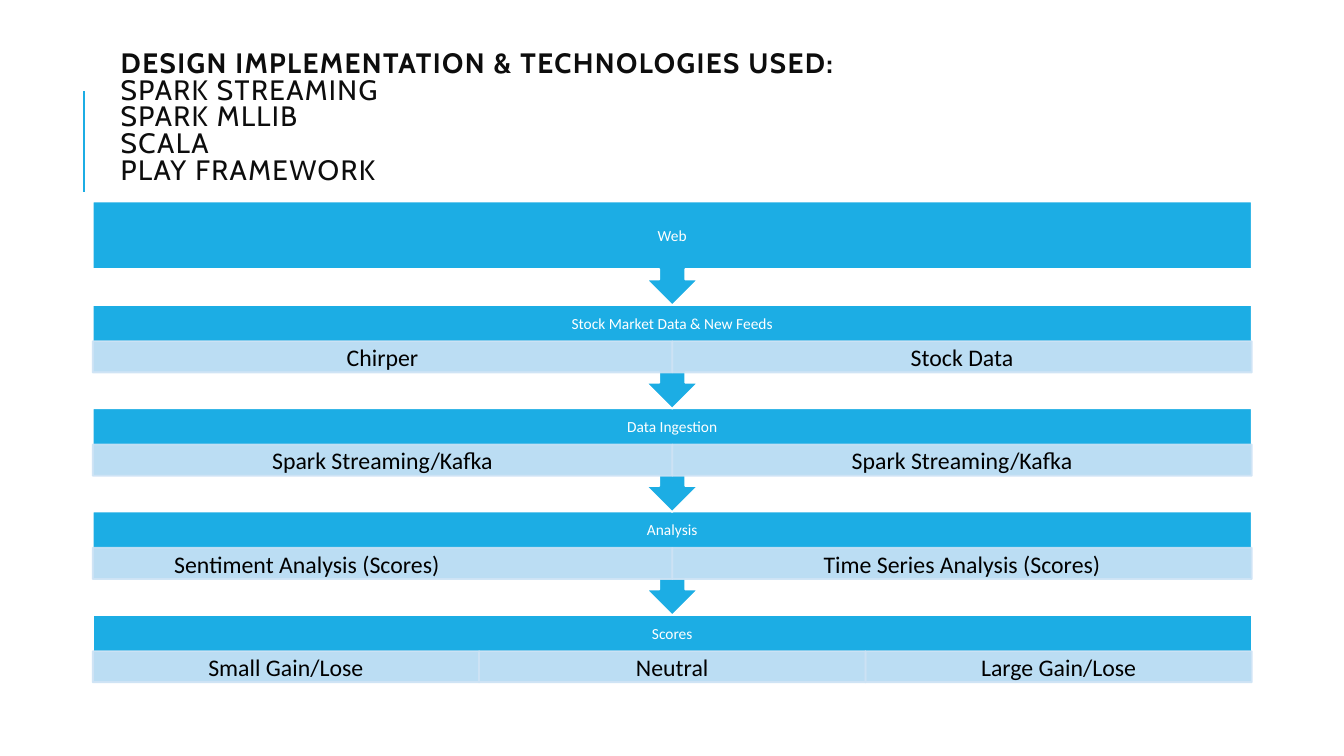
from lxml.etree import SubElement
from pptx import Presentation
from pptx.dml.color import RGBColor
from pptx.enum.shapes import MSO_CONNECTOR, MSO_SHAPE as SHAPE
from pptx.enum.text import MSO_ANCHOR as ANCHOR, PP_ALIGN as ALIGN
from pptx.oxml.ns import qn
from pptx.util import Pt

PX = 4572
BLUE = RGBColor(0x1C, 0xAD, 0xE4)
PALE = RGBColor(0xCD, 0xE3, 0xF5)
WHITE = RGBColor(0xFF, 0xFF, 0xFF)
BLACK = RGBColor(0x00, 0x00, 0x00)
INK = RGBColor(0x0D, 0x0D, 0x0D)

LEFT, TOP, WIDTH, STEP = 184, 400, 2300, 205
BODY_HEIGHT, CALLOUT_HEIGHT = 134, 206
HEADER_HEIGHT, CELL_HEIGHT = 72, 62
TAB_SHIFT = 300

TITLE = "DESIGN IMPLEMENTATION & TECHNOLOGIES USED:"
TECHNOLOGIES = ["SPARK STREAMING", "SPARK MLLIB", "SCALA", "PLAY FRAMEWORK"]
STAGES = [
    ("Web", []),
    ("Stock Market Data & New Feeds", [("Chirper", 0), ("Stock Data", 0)]),
    ("Data Ingestion", [("Spark Streaming/Kafka", 0), ("Spark Streaming/Kafka", 0)]),
    ("Analysis", [("Sentiment Analysis (Scores)", TAB_SHIFT),
                  ("Time Series Analysis (Scores)", 0)]),
    ("Scores", [("Small Gain/Lose", 0), ("Neutral", 0), ("Large Gain/Lose", 0)]),
]


def px(*lengths):
    return [round(length * PX) for length in lengths]


def set_alpha(color_format_fill, percent):
    color = color_format_fill.find(".//" + qn("a:srgbClr"))
    SubElement(color, qn("a:alpha"), val=str(percent * 1000))


def add_run(para, text, font, size, color, bold=False):
    run = para.add_run()
    run.text = text
    run.font.name = font
    run.font.size = Pt(size)
    run.font.color.rgb = color
    run.font.bold = bold
    return run


def set_frame(frame, left, top, right, bottom):
    frame.word_wrap = True
    frame.vertical_anchor = ANCHOR.MIDDLE
    frame.margin_left, frame.margin_top, frame.margin_right, frame.margin_bottom = px(
        left, top, right, bottom)


def add_block(page, kind, bounds, fill, line, text, size, color, margins):
    box = page.shapes.add_shape(kind, *px(*bounds))
    box.shadow.inherit = False
    box.fill.solid()
    box.fill.fore_color.rgb = fill
    box.line.color.rgb = line
    box.line.width = Pt(1.25)
    set_frame(box.text_frame, *margins)
    para = box.text_frame.paragraphs[0]
    para.alignment = ALIGN.CENTER
    add_run(para, text, "Calibri", size, color)
    return box


def add_cell(page, bounds, text, shift):
    box = add_block(page, SHAPE.RECTANGLE, bounds, PALE, PALE, text, 17, BLACK,
                    (26, 4, 26 + shift, 4))
    properties = box._element.spPr
    set_alpha(properties.find(qn("a:solidFill")), 90)
    set_alpha(properties.find(qn("a:ln")), 90)


def add_stage(page, index, header, cells):
    top = TOP + index * STEP
    is_last = index == len(STAGES) - 1
    kind = SHAPE.RECTANGLE if is_last else SHAPE.DOWN_ARROW_CALLOUT
    height = BODY_HEIGHT if is_last else CALLOUT_HEIGHT
    below_header = BODY_HEIGHT - HEADER_HEIGHT if cells else 0
    add_block(page, kind, (LEFT, top, WIDTH, height), BLUE, WHITE, header, 11, WHITE,
              (18, 0, 18, below_header))
    for column, (text, shift) in enumerate(cells):
        width = WIDTH / len(cells)
        add_cell(page, (LEFT + column * width, top + HEADER_HEIGHT, width, CELL_HEIGHT),
                 text, shift)


def add_title(page):
    box = page.shapes.add_textbox(*px(220, 72, 2126, 328))
    set_frame(box.text_frame, 20, 10, 20, 10)
    para = box.text_frame.paragraphs[0]
    para.line_spacing = 0.8
    runs = [add_run(para, TITLE, "Cabin", 20, INK, bold=True)]
    for technology in TECHNOLOGIES:
        para.add_line_break()
        runs.append(add_run(para, technology, "Cabin", 20, INK))
    for run in runs:
        run.font._element.set("spc", "100")


def add_accent_line(page):
    line = page.shapes.add_connector(MSO_CONNECTOR.STRAIGHT, *px(166, 380, 166, 180))
    line.line.color.rgb = BLUE
    line.line.width = Pt(1.5)
    SubElement(line._element.spPr, qn("a:effectLst"))


def main():
    """Build the technology pipeline slide."""
    deck = Presentation()
    deck.slide_width, deck.slide_height = px(2667, 1500)
    page = deck.slides.add_slide(deck.slide_layouts[6])
    add_accent_line(page)
    add_title(page)
    for index, (header, cells) in reversed(list(enumerate(STAGES))):
        add_stage(page, index, header, cells)
    deck.save("out.pptx")


if __name__ == "__main__":
    main()
